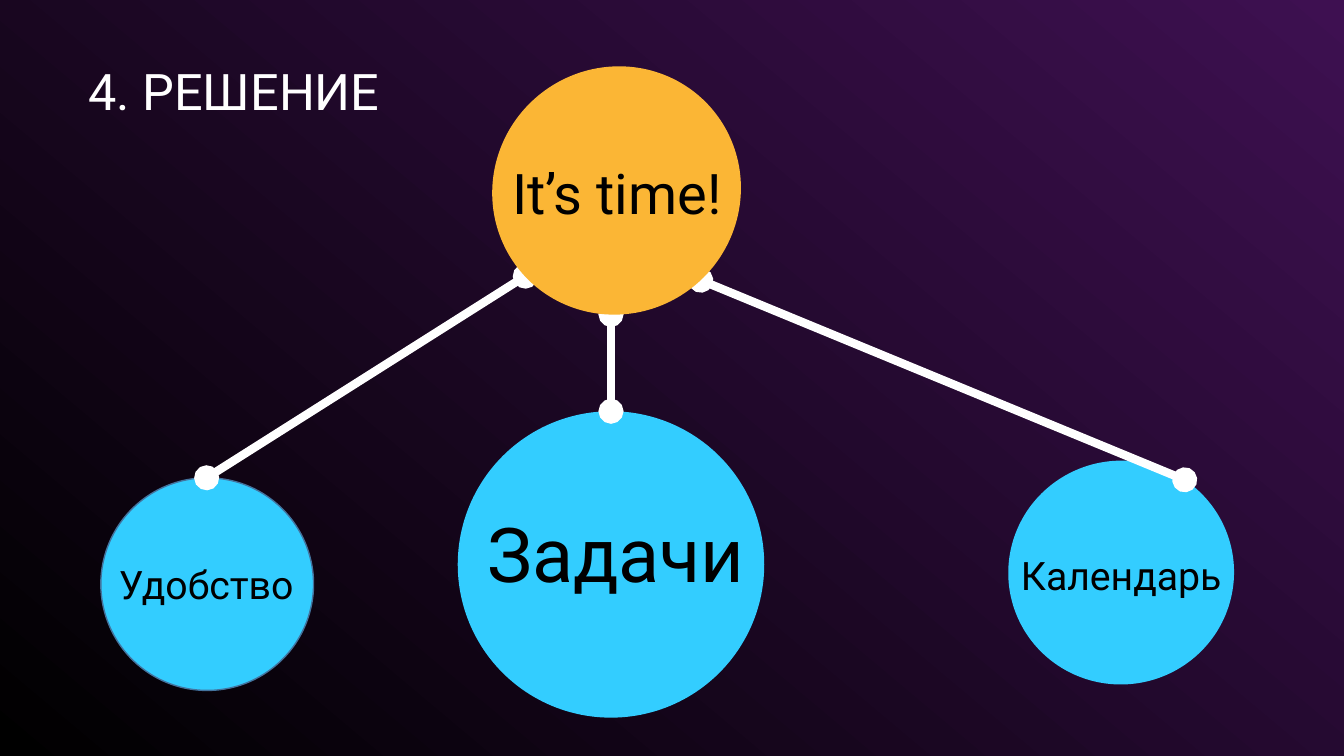
from lxml import etree
from pptx import Presentation
from pptx.dml.color import RGBColor
from pptx.enum.shapes import MSO_CONNECTOR, MSO_SHAPE
from pptx.enum.text import MSO_ANCHOR, PP_ALIGN
from pptx.oxml.ns import qn
from pptx.util import Inches, Pt

COLORS = {
    "black": "000000",
    "purple": "3E1051",
    "white": "FFFFFF",
    "blue": "33CDFF",
    "rim": "43739E",
    "orange": "FBB635",
}
rgb = {name: RGBColor.from_string(value) for name, value in COLORS.items()}

prs = Presentation()
prs.slide_width, prs.slide_height = Inches(13.33), Inches(7.5)
slide = prs.slides.add_slide(prs.slide_layouts[6])
shapes = slide.shapes

backdrop = slide.background.fill
backdrop.gradient()
backdrop.gradient_angle = 50
for stop, color in zip(backdrop.gradient_stops, ("black", "purple")):
    stop.color.rgb = rgb[color]


def add_label(text, box, size, color="black", align=PP_ALIGN.CENTER,
              anchor=MSO_ANCHOR.TOP, spacing=None):
    frame = shapes.add_textbox(*map(Inches, box)).text_frame
    frame.word_wrap = True
    frame.vertical_anchor = anchor
    paragraph = frame.paragraphs[0]
    paragraph.alignment = align
    paragraph.line_spacing = spacing
    run = paragraph.add_run()
    run.text = text
    run.font.name = "Roboto"
    run.font.size = Pt(size)
    run.font.color.rgb = rgb[color]


add_label("4. РЕШЕНИЕ", (0.78, 0.78, 11.35, 0.39), 36, color="white",
          align=PP_ALIGN.LEFT, anchor=MSO_ANCHOR.MIDDLE, spacing=0.7)

# Links end under the orange circle, so that circle is drawn last.
circles = [
    ((10, 4.57, 2.24, 2.22), 348.9, "blue", None),
    ((4.54, 4.08, 3.04, 3.04), 0, "blue", None),
    ((1, 4.74, 2.11, 2.11), 0, "blue", "rim"),
    ((4.87, 0.67, 2.49, 2.44), 316.8, "orange", None),
]
links = [
    ((6.06, 3.12), (6.06, 4.08)),
    ((11.75, 4.76), (6.95, 2.78)),
    ((5.21, 2.74), (2.05, 4.74)),
]

for box, rotation, fill, rim in circles:
    if fill == "orange":
        for start, end in links:
            link = shapes.add_connector(
                MSO_CONNECTOR.STRAIGHT, *map(Inches, start + end))
            link.line.color.rgb = rgb["white"]
            link.line.width = Pt(6)
            outline = link.line._get_or_add_ln()
            for tip in ("a:headEnd", "a:tailEnd"):
                etree.SubElement(outline, qn(tip), type="oval")
            etree.SubElement(link._element.spPr, qn("a:effectLst"))
    circle = shapes.add_shape(MSO_SHAPE.OVAL, *map(Inches, box))
    circle.shadow.inherit = False
    circle.rotation = rotation
    circle.fill.solid()
    circle.fill.fore_color.rgb = rgb[fill]
    if rim:
        circle.line.color.rgb = rgb[rim]
        circle.line.width = Pt(1)
    else:
        circle.line.fill.background()

add_label("Задачи", (4.57, 4.98, 3.08, 1.01), 54)
add_label("Календарь", (9.96, 5.42, 2.32, 0.57), 28)
add_label("Удобство", (1.08, 5.51, 2.06, 0.57), 28, align=PP_ALIGN.LEFT)
add_label("It’s time!", (4.91, 1.52, 2.42, 0.77), 40)

prs.save("out.pptx")
